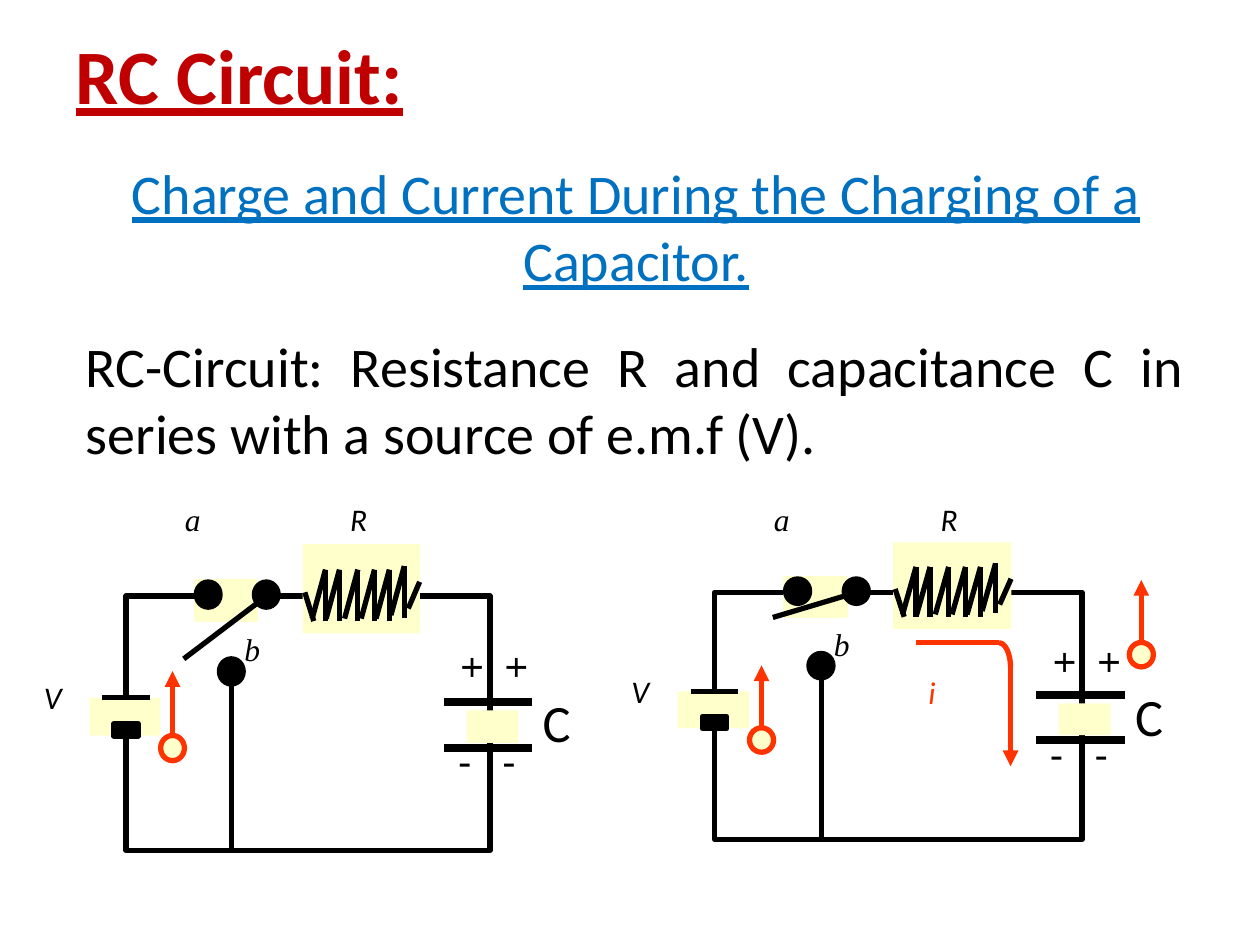
from math import cos, pi, sin

from lxml.etree import SubElement
from pptx import Presentation
from pptx.dml.color import RGBColor
from pptx.enum.shapes import MSO_CONNECTOR as CONN, MSO_SHAPE as SHAPE
from pptx.enum.text import MSO_ANCHOR as ANCHOR, MSO_AUTO_SIZE as AUTO, PP_ALIGN as ALIGN
from pptx.oxml.ns import qn
from pptx.util import Pt

BLACK, CREAM, ORANGE = "000000", "FFFFCC", "FF3300"


def rgb(value):
    return RGBColor.from_string(value)


class Draw:
    """Holds the style, the slide and the frame being drawn into."""
    font = "Calibri"
    serif = "Times New Roman"

    def __init__(self, slide):
        self.slide = slide
        self.frame(slide.shapes)

    def frame(self, shapes, x=0, y=0, kx=1, ky=1):
        """Draw into shapes, with an origin and a scale."""
        self.shapes = shapes
        self.x, self.y, self.kx, self.ky = x, y, kx, ky

    def point(self, x, y):
        return Pt(self.x + x * self.kx), Pt(self.y + y * self.ky)

    def box(self, x, y, w, h, rot=0):
        cx, cy = self.point(x + w / 2, y + h / 2)
        kw, kh = (self.ky, self.kx) if rot else (self.kx, self.ky)
        w, h = Pt(w * kw), Pt(h * kh)
        return cx - w // 2, cy - h // 2, w, h

    def fill_text(self, sp, text, size, color=BLACK, font=None, align=ALIGN.LEFT,
                  anchor=ANCHOR.TOP, **style):
        tf = sp.text_frame
        tf.word_wrap, tf.auto_size, tf.vertical_anchor = True, AUTO.NONE, anchor
        p = tf.paragraphs[0]
        p.alignment = align
        r = p.add_run()
        r.text = text
        r.font.name, r.font.size = font or self.font, Pt(size)
        r.font.color.rgb = rgb(color)
        for name, value in style.items():
            setattr(r.font, name, value)

    def title(self, text, x, y, w, h, size, **style):
        sp = self.slide.shapes.title
        sp.left, sp.top, sp.width, sp.height = self.box(x, y, w, h)
        self.fill_text(sp, text, size, anchor=ANCHOR.MIDDLE, **style)

    def text(self, text, x, y, w, h, size, rot=0, **style):
        sp = self.shapes.add_textbox(*self.box(x, y, w, h, rot))
        sp.rotation = rot
        self.fill_text(sp, text, size, **style)

    def shape(self, kind, x, y, w, h, fill=None, line=None, rot=0):
        sp = self.shapes.add_shape(kind, *self.box(x, y, w, h, rot))
        sp.rotation = rot
        self.paint(sp, fill, line)

    def paint(self, sp, fill, line):
        sp.shadow.inherit = False
        for part, color in ((sp.fill, fill), (sp.line.fill, line)):
            if color:
                part.solid()
                part.fore_color.rgb = rgb(color)
            else:
                part.background()
        if line:
            sp.line.width = Pt(3)

    def line(self, x1, y1, x2, y2, color=BLACK, width=3, arrow=False):
        cn = self.shapes.add_connector(CONN.STRAIGHT, *self.point(x1, y1), *self.point(x2, y2))
        cn.line.color.rgb = rgb(color)
        cn.line.width = Pt(width)
        if arrow:
            SubElement(cn.line._get_or_add_ln(), qn("a:tailEnd"), type="triangle")
        SubElement(cn._element.spPr, qn("a:effectLst"))

    def curve(self, points, color):
        start, *rest = [self.point(*pt) for pt in points]
        fb = self.shapes.build_freeform(*start)
        fb.add_line_segments(rest, close=False)
        self.paint(fb.convert_to_shape(), None, color)

    def dot(self, x, y, fill=BLACK, line=BLACK):
        self.shape(SHAPE.OVAL, x - 6.8, y - 7.2, 13.6, 14.4, fill, line)

    def charge(self, x, y):
        """A ringed charge with an arrow rising from it."""
        self.line(x, y, x, y - 44, ORANGE, arrow=True)
        self.dot(x, y, CREAM, ORANGE)

    def resistor(self):
        self.shape(SHAPE.RECTANGLE, 101, -29.5, 67, 51, CREAM)
        stems = (114, 122, 132.5, 142, 150.5, 159)
        for x in stems:
            lift = 2 if x == stems[-1] else 0
            self.line(x, -15 - lift, x, 14.4 - lift)
            self.line(x, -15 - lift, x - 7.6, 13 - lift)
        self.line(102.2, -2, 107.3, 14.4)
        self.line(161.3, 7.2, 167.8, -8)
        self.text("R", 121, -58.3, 54, 49.7, 18, italic=True)

    def capacitor(self):
        self.text("C", 231, 50.4, 51, 52.6, 30)
        for y in (60.5, 87):
            self.line(232, y, 182, y, width=4.5)
        self.shape(SHAPE.RECTANGLE, 200, 60, 18.7, 29.5, CREAM, rot=90)
        for x in (179.3, 204.5):
            self.text("+", x, 26.6, 36.7, 40.3, 24, rot=90)
            self.text("-", x + 3.6, 76.3, 31.7, 44, 24)

    def battery(self):
        self.text("V", -54, 43.2, 46.8, 49.7, 18, italic=True)
        self.shape(SHAPE.RECTANGLE, -11.5, 49, 21.6, 40.3, CREAM, rot=90)
        self.line(-13.5, 58.3, 13.5, 58.3)
        self.shape(SHAPE.RECTANGLE, -3.6, 69.8, 7.2, 13.7, BLACK, BLACK, rot=90)

    def switch(self, lever_end):
        self.line(60.5, 36, 60.5, 145.5)
        self.shape(SHAPE.RECTANGLE, 40.3, -8, 33.8, 21.6, CREAM, CREAM)
        for x, y in ((60.2, 43.2), (80.2, -0.7), (47, -0.7)):
            self.dot(x, y)
        self.line(80.5, 0, 33, lever_end)
        for name, x, y in (("a", 26.6, -58.3), ("b", 60.5, 15.8)):
            self.text(name, x, y, 46.8, 49.7, 18, font=self.serif, italic=True)

    def circuit(self, x, y, kx, ky, lever_end):
        self.frame(self.slide.shapes.add_group_shape().shapes, x, y, kx, ky)
        self.shape(SHAPE.RECTANGLE, 0, 0, 208, 145.5, line=BLACK)
        self.resistor()
        self.battery()
        self.capacitor()
        self.switch(lever_end)
        self.charge(26.6, 87)

    def current(self):
        """The path of the current i, turning down towards the capacitor."""
        self.line(114, 29.7, 161, 29.7, ORANGE)
        self.line(167.5, 44, 167.5, 102.4, ORANGE, arrow=True)
        turns = [i * pi / 16 for i in range(9)]
        self.curve([(161 + 6.5 * sin(t), 44 - 14.3 * cos(t)) for t in turns], ORANGE)
        self.text("i", 114, 44, 40, 49.7, 18, color=ORANGE, italic=True)


prs = Presentation()
prs.slide_width, prs.slide_height = Pt(720), Pt(540)
s = prs.slides.add_slide(prs.slide_layouts[5])
d = Draw(s)

# Title and definition
d.title("RC Circuit:", 36, 12, 612, 60, 44, color="C00000", bold=True, underline=True)
d.text("RC-Circuit: Resistance R and capacitance C in series with a source of e.m.f (V).",
       42, 186, 642, 85, 32, align=ALIGN.JUSTIFY)

# Circuit with the switch open, then charging
d.circuit(72, 340.5, 1, 1, lever_end=36)
d.circuit(408.3, 338.5, 1.01, 0.97, lever_end=14.8)
d.current()
d.charge(241.5, 36.7)

# Subtitle
d.frame(s.shapes)
d.text("Charge and Current During the Charging of a Capacitor.", 24.5, 84, 678, 90, 32,
       color="0070C0", align=ALIGN.CENTER, anchor=ANCHOR.MIDDLE, underline=True)

prs.save("out.pptx")
